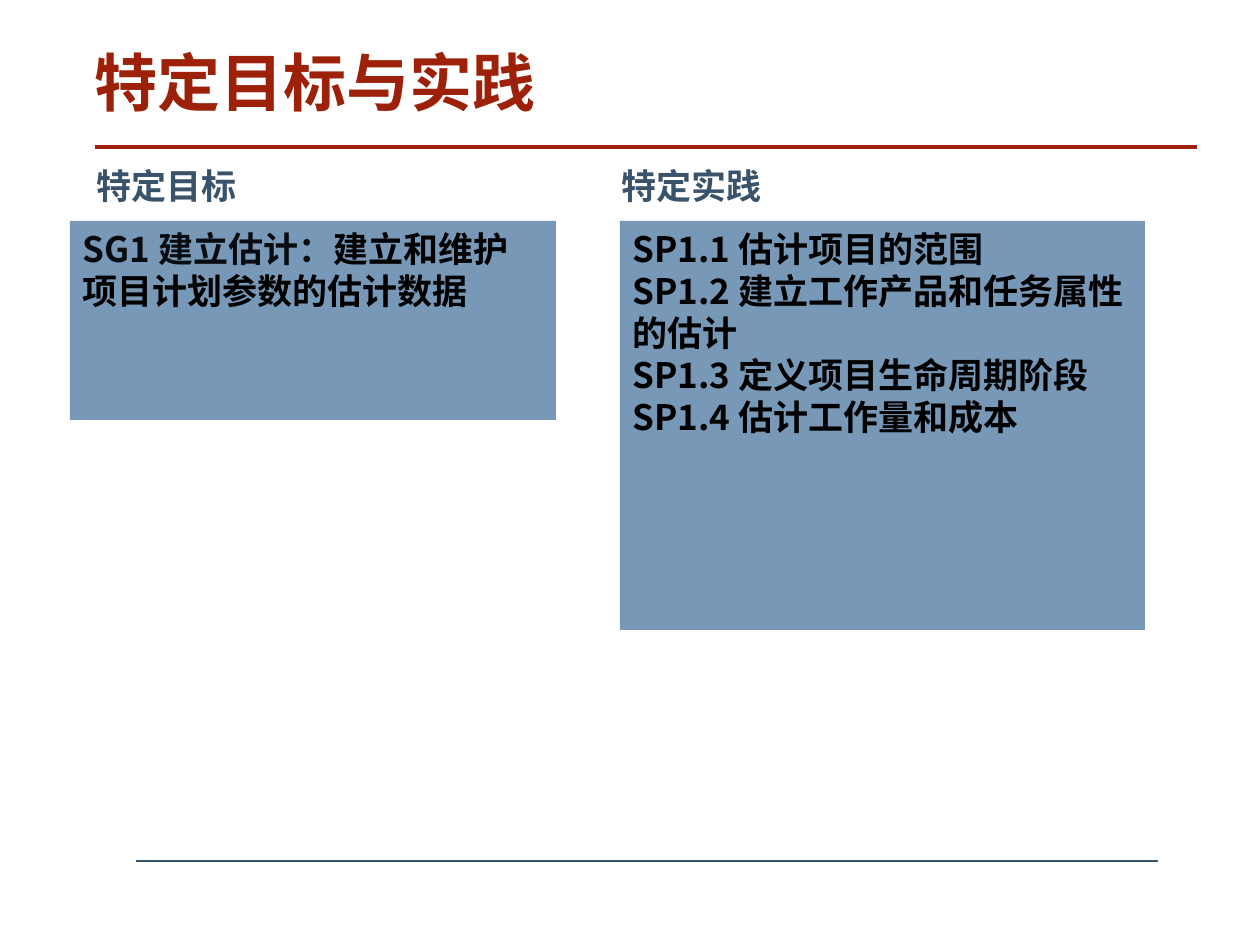
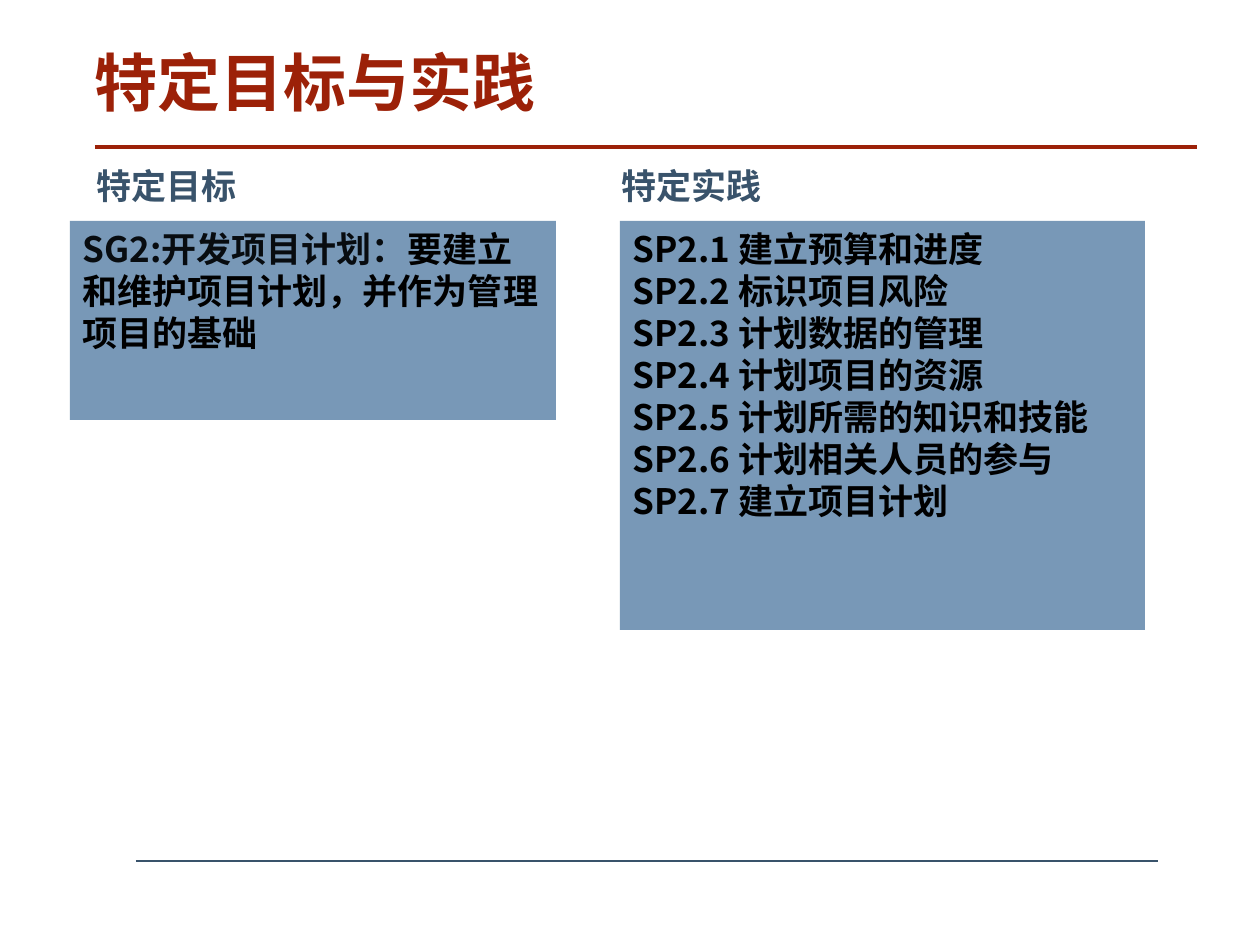
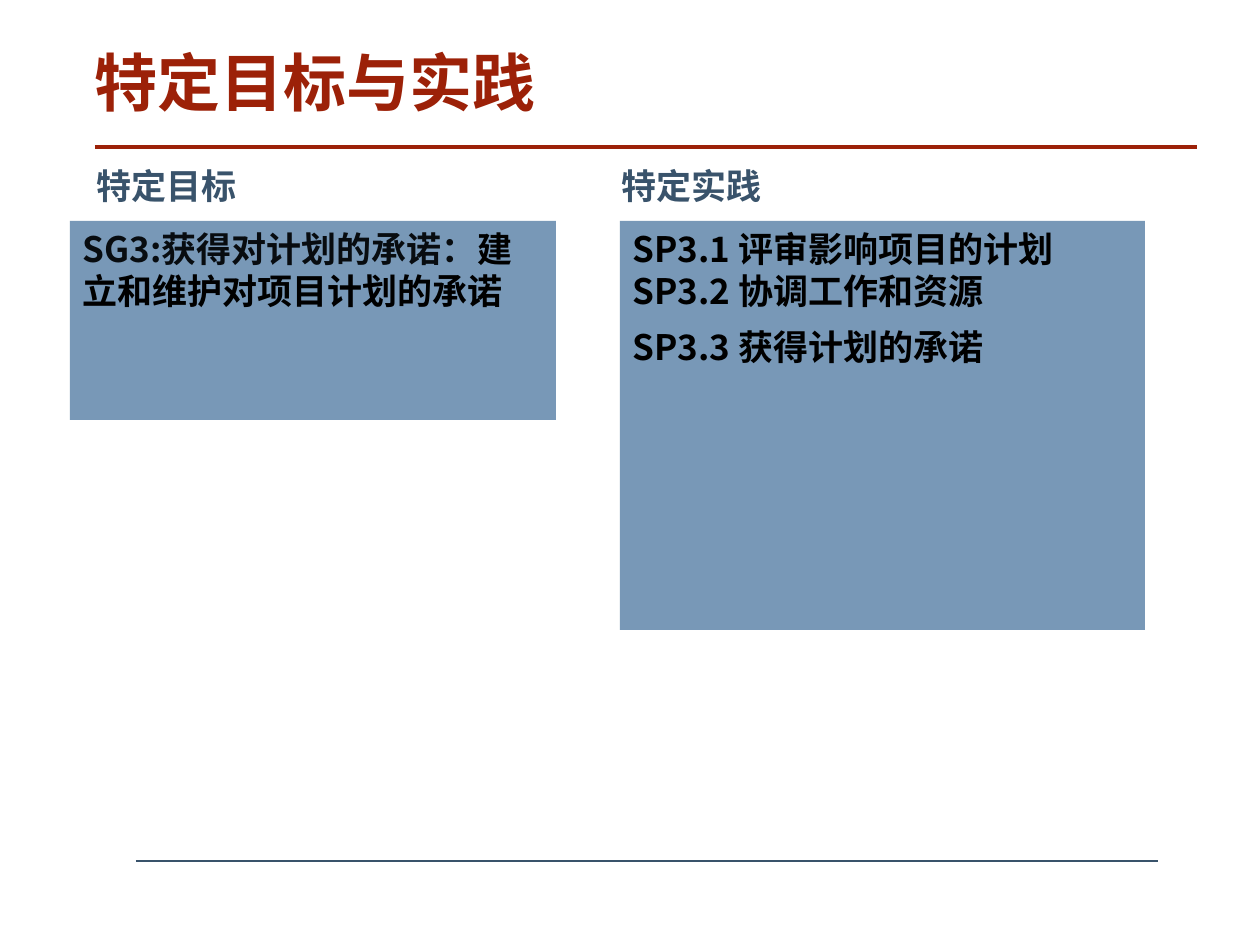
from dataclasses import dataclass

from lxml.etree import SubElement
from pptx import Presentation
from pptx.dml.color import RGBColor
from pptx.enum.shapes import MSO_CONNECTOR, MSO_SHAPE
from pptx.enum.text import MSO_ANCHOR, PP_ALIGN
from pptx.oxml.ns import qn
from pptx.util import Inches, Pt

PIXEL = Inches(1) / 126


@dataclass(frozen=True)
class Theme:
    """Colours, font and type sizes of the deck."""
    font: str = "Noto Sans CJK SC"
    red: str = "9C2108"
    slate: str = "39536B"
    panel: str = "7898B7"
    ink: str = "080C10"
    black: str = "000000"
    title_size: int = 36
    text_size: int = 20


THEME = Theme()


def px(*lengths):
    """Turn whole pixels into EMU."""
    return [round(length * PIXEL) for length in lengths]


def rgb(colour):
    """Read a colour of the theme."""
    return RGBColor.from_string(colour)


def style(para, size, colour):
    """Set the bold deck font for Latin and East Asian text."""
    para.alignment = PP_ALIGN.LEFT
    para.font.name = THEME.font
    para.font.size = Pt(size)
    para.font.bold = True
    para.font.color.rgb = rgb(colour)
    defaults = para._p.pPr.find(qn("a:defRPr"))
    SubElement(defaults, qn("a:ea"), typeface=THEME.font)


def add_rule(page, left, right, y, colour, width):
    """Draw a horizontal rule without a shadow."""
    rule = page.shapes.add_connector(MSO_CONNECTOR.STRAIGHT, *px(left, y, right, y))
    rule.line.color.rgb = rgb(colour)
    rule.line.width = Pt(width)
    SubElement(rule._element.spPr, qn("a:effectLst"))


def add_label(page, box, text, size, colour):
    """Place one line of text and return its text frame."""
    frame = page.shapes.add_textbox(*px(*box)).text_frame
    frame.word_wrap = True
    frame.text = text
    style(frame.paragraphs[0], size, colour)
    return frame


def add_title(page, box, text):
    """Place the title without insets."""
    frame = add_label(page, box, text, THEME.title_size, THEME.red)
    frame.margin_left = frame.margin_right = 0
    frame.margin_top = frame.margin_bottom = 0
    frame.paragraphs[0].line_spacing = 0.89


def add_panel(page, box, paragraphs, gap=0):
    """Place a filled panel; each paragraph is a list of (text, colour)."""
    panel = page.shapes.add_shape(MSO_SHAPE.RECTANGLE, *px(*box))
    panel.shadow.inherit = False
    panel.fill.solid()
    panel.fill.fore_color.rgb = rgb(THEME.panel)
    panel.line.fill.background()
    frame = panel.text_frame
    frame.word_wrap = True
    frame.vertical_anchor = MSO_ANCHOR.TOP
    for index, spans in enumerate(paragraphs):
        para = frame.add_paragraph() if index else frame.paragraphs[0]
        style(para, THEME.text_size, THEME.black)
        if index:
            para.space_before = Pt(gap)
        for text, colour in spans:
            span = para.add_run()
            span.text = text
            if colour != THEME.black:
                span.font.color.rgb = rgb(colour)


def add_goal_page(deck, goal, meaning, practices, gap=0):
    """Build a page that sets one goal beside its practices."""
    page = deck.slides.add_slide(deck.slide_layouts[6])
    add_rule(page, 136, 1158, 861, THEME.slate, 1)
    add_rule(page, 95, 1197, 147, THEME.red, 2.25)
    add_title(page, (95, 53, 1102, 77), "特定目标与实践")
    add_panel(page, (620, 221, 525, 409),
              [[(practice, THEME.black)] for practice in practices], gap)
    add_label(page, (84, 158, 472, 54), "特定目标", THEME.text_size, THEME.slate)
    add_label(page, (609, 158, 546, 54), "特定实践", THEME.text_size, THEME.slate)
    add_panel(page, (70, 221, 486, 199),
              [[(goal, THEME.ink), (meaning, THEME.black)]])


deck = Presentation()
deck.slide_width, deck.slide_height = px(1260, 945)

add_goal_page(deck, "SG1 建立估计：", "建立和维护项目计划参数的估计数据", [
    "SP1.1 估计项目的范围",
    "SP1.2 建立工作产品和任务属性的估计",
    "SP1.3 定义项目生命周期阶段",
    "SP1.4 估计工作量和成本",
])
add_goal_page(deck, "SG2:开发项目计划：", "要建立和维护项目计划，并作为管理项目的基础", [
    "SP2.1 建立预算和进度",
    "SP2.2 标识项目风险",
    "SP2.3 计划数据的管理",
    "SP2.4 计划项目的资源",
    "SP2.5 计划所需的知识和技能",
    "SP2.6 计划相关人员的参与",
    "SP2.7 建立项目计划",
])
add_goal_page(deck, "SG3:获得对计划的承诺：", "建立和维护对项目计划的承诺", [
    "SP3.1 评审影响项目的计划 SP3.2 协调工作和资源",
    "SP3.3 获得计划的承诺",
], gap=8)

deck.save("out.pptx")
